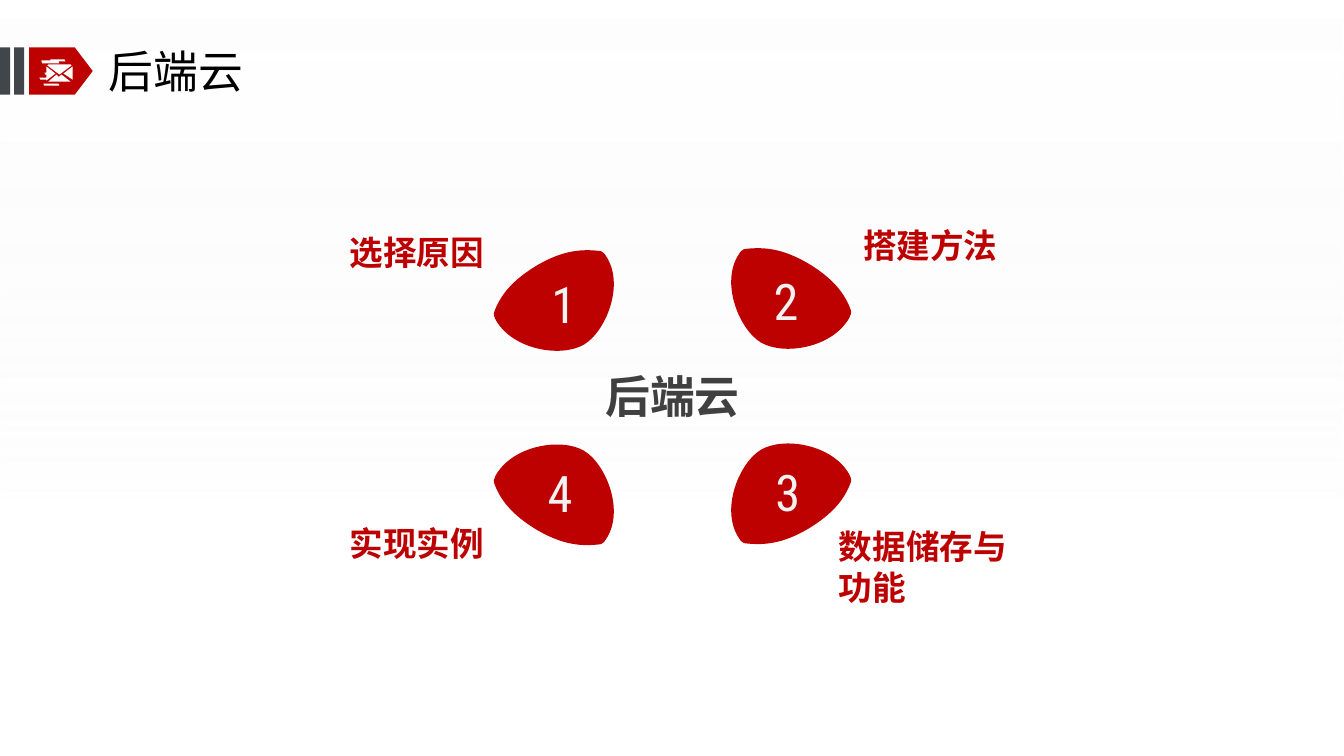
from lxml import etree
from pptx import Presentation
from pptx.dml.color import RGBColor
from pptx.enum.shapes import MSO_SHAPE as Shape
from pptx.enum.text import MSO_ANCHOR as Anchor, PP_ALIGN as Align
from pptx.oxml.ns import qn
from pptx.util import Inches, Pt

RED = RGBColor(0xBD, 0x00, 0x00)
SLATE = RGBColor(0x40, 0x46, 0x4A)
DARK = RGBColor(0x40, 0x40, 0x40)
PALE = RGBColor(0xF2, 0xF2, 0xF2)
WHITE = RGBColor(0xFF, 0xFF, 0xFF)
BLACK = RGBColor(0x00, 0x00, 0x00)
CJK_FONT = "Noto Sans CJK SC"
NUMBER_FONT = "Roboto Condensed"

PETAL = [
    (-0.72, -1.45),
    (-0.9, -1.47), (-1.08, -1.46), (-1.34, -1.31),
    (-1.59, -1.16), (-1.71, -1.01), (-1.77, -0.84),
    (-1.78, -0.82), (-1.76, -0.78), (-1.75, -0.76),
    (-1.58, -0.47), (-1.11, -0.39), (-0.88, -0.52),
    (-0.66, -0.65), (-0.47, -1.12), (-0.66, -1.4),
    (-0.67, -1.42), (-0.7, -1.45), (-0.72, -1.45),
]
ENVELOPE = [
    [(0.18, 0.18), (0.19, 0.17), (0.41, 0.17), (0.42, 0.18), (0.3, 0.27)],
    [(0.15, 0.25), (0.16, 0.27), (0.17, 0.27), (0.17, 0.3), (0.1, 0.3), (0.11, 0.32),
     (0.17, 0.32), (0.17, 0.33), (0.26, 0.26), (0.17, 0.19), (0.17, 0.25)],
    [(0.14, 0.36), (0.29, 0.36), (0.3, 0.38), (0.15, 0.38)],
    [(0.21, 0.12), (0.35, 0.12), (0.36, 0.14), (0.29, 0.14), (0.3, 0.16),
     (0.13, 0.16), (0.12, 0.13), (0.21, 0.13)],
    [(0.43, 0.19), (0.34, 0.26), (0.43, 0.32)],
    [(0.41, 0.34), (0.19, 0.34), (0.27, 0.27), (0.29, 0.29), (0.3, 0.29), (0.32, 0.27)],
]


def style_text(text_frame, size, color, font_name, bold=False, align=Align.LEFT):
    """Remove the margins and format every run of a text frame."""
    text_frame.margin_left = text_frame.margin_right = 0
    text_frame.margin_top = text_frame.margin_bottom = 0
    for paragraph in text_frame.paragraphs:
        paragraph.alignment = align
        for run in paragraph.runs:
            run.font.size = Pt(size)
            run.font.bold = bold
            run.font.name = font_name
            run.font.color.rgb = color
            east_asian = etree.SubElement(run.font._element, qn("a:ea"))
            east_asian.set("typeface", font_name)


def add_text(shapes, text, left, top, width, height, size, color,
             font_name=CJK_FONT, bold=True, align=Align.LEFT, wrap=True):
    """Add a text box without margins."""
    box = shapes.add_textbox(Inches(left), Inches(top), Inches(width), Inches(height))
    box.text_frame.text = text
    box.text_frame.word_wrap = wrap
    style_text(box.text_frame, size, color, font_name, bold, align)


def paint(shape, color):
    """Give a shape a plain fill without line or shadow."""
    shape.fill.solid()
    shape.fill.fore_color.rgb = color
    shape.line.fill.background()
    shape.shadow.inherit = False


def add_outline(shapes, contours, left, top, color):
    """Draw closed contours, measured in inches from a point, as one shape."""
    contours = [[(Inches(left + x), Inches(top + y)) for x, y in contour]
                for contour in contours]
    builder = shapes.build_freeform(*contours[0][0])
    for index, contour in enumerate(contours):
        if index:
            builder.move_to(*contour[0])
        builder.add_line_segments(contour[1:], close=True)
    outline = builder.convert_to_shape()
    paint(outline, color)
    return outline


def bend(outline):
    """Turn every three line segments of an outline into one cubic curve."""
    segments = list(outline.element.iter(qn("a:lnTo")))
    for index in range(0, len(segments), 3):
        curve = etree.Element(qn("a:cubicBezTo"))
        segments[index].addprevious(curve)
        for segment in segments[index:index + 3]:
            curve.append(segment[0])
            segment.getparent().remove(segment)


def add_backdrop(slide, width, height):
    """Lay a translucent gradient behind everything."""
    backdrop = slide.shapes.add_shape(Shape.RECTANGLE, 0, 0, width, height)
    backdrop.shadow.inherit = False
    backdrop.line.fill.background()
    backdrop.fill.gradient()
    backdrop.fill.gradient_angle = 270
    looks = [(0, WHITE, 55000), (0.71, PALE, 0)]
    for stop, (position, color, opacity) in zip(backdrop.fill.gradient_stops, looks):
        stop.position = position
        stop.color.rgb = color
    for element, look in zip(backdrop.element.iter(qn("a:srgbClr")), looks):
        etree.SubElement(element, qn("a:alpha")).set("val", str(look[2]))
    slide.shapes.title.element.addprevious(backdrop.element)


def add_header(slide, text, left, top, height):
    """Place the stripes, the envelope badge and the title."""
    for offset in (0, 0.14):
        stripe = slide.shapes.add_shape(Shape.RECTANGLE, Inches(left + offset), Inches(top),
                                        Inches(0.1), Inches(height))
        paint(stripe, SLATE)
    badge_left = left + 0.29
    badge = slide.shapes.add_shape(Shape.PENTAGON, Inches(badge_left), Inches(top),
                                   Inches(0.63), Inches(height))
    badge.adjustments[0] = 0.38
    paint(badge, RED)
    add_outline(slide.shapes, ENVELOPE, badge_left, top, WHITE)
    title = slide.shapes.title
    title.left, title.top = Inches(left + 1.08), Inches(top - 0.04)
    title.width, title.height = Inches(5.51), Inches(0.55)
    title.text_frame.text = text
    title.text_frame.vertical_anchor = Anchor.MIDDLE
    style_text(title.text_frame, 32, BLACK, CJK_FONT)


def add_petal(slide, center_x, center_y, side, row, shift, number, left, top, width):
    """Group one petal, mirrored into its quarter, with its number."""
    group = slide.shapes.add_group_shape()
    points = [(-side * x, -row * y) for x, y in PETAL]
    bend(add_outline(group.shapes, [points], center_x, center_y + shift, RED))
    add_text(group.shapes, number, center_x + left, center_y + top, width, 0.61,
             36, PALE, NUMBER_FONT, False, Align.CENTER, False)


def add_diagram(slide, center_x, center_y):
    """Place the four petals and their labels around the central topic."""
    add_text(slide.shapes, "后端云", center_x - 0.73, center_y - 0.28, 1.46, 0.54,
             32, DARK, align=Align.CENTER)
    petals = [
        (-1, -1, 0, "1", -1.2, -1.23, 0.16),
        (1, -1, -0.02, "2", 1, -1.26, 0.25),
        (1, 1, 0, "3", 1.01, 0.63, 0.27),
        (-1, 1, 0.01, "4", -1.24, 0.64, 0.25),
    ]
    labels = [
        ("选择原因", -3.81, -1.64, 0.4, Align.RIGHT),
        ("搭建方法", 1.89, -1.71, 0.4, Align.LEFT),
        ("数据储存与功能", 1.65, 1.28, 0.81, Align.LEFT),
        ("实现实例", -3.81, 1.25, 0.81, Align.RIGHT),
    ]
    for petal in petals:
        add_petal(slide, center_x, center_y, *petal)
    for text, left, top, height, align in labels:
        add_text(slide.shapes, text, center_x + left, center_y + top, 1.94, height,
                 24, RED, align=align)


def main():
    """Build and save the presentation."""
    presentation = Presentation()
    presentation.slide_width = Inches(13.33)
    presentation.slide_height = Inches(7.5)
    slide = presentation.slides.add_slide(presentation.slide_layouts[5])
    add_backdrop(slide, presentation.slide_width, presentation.slide_height)
    add_header(slide, "后端云", 0, 0.47, 0.47)
    add_diagram(slide, 6.67, 3.94)
    presentation.save("out.pptx")


if __name__ == "__main__":
    main()
